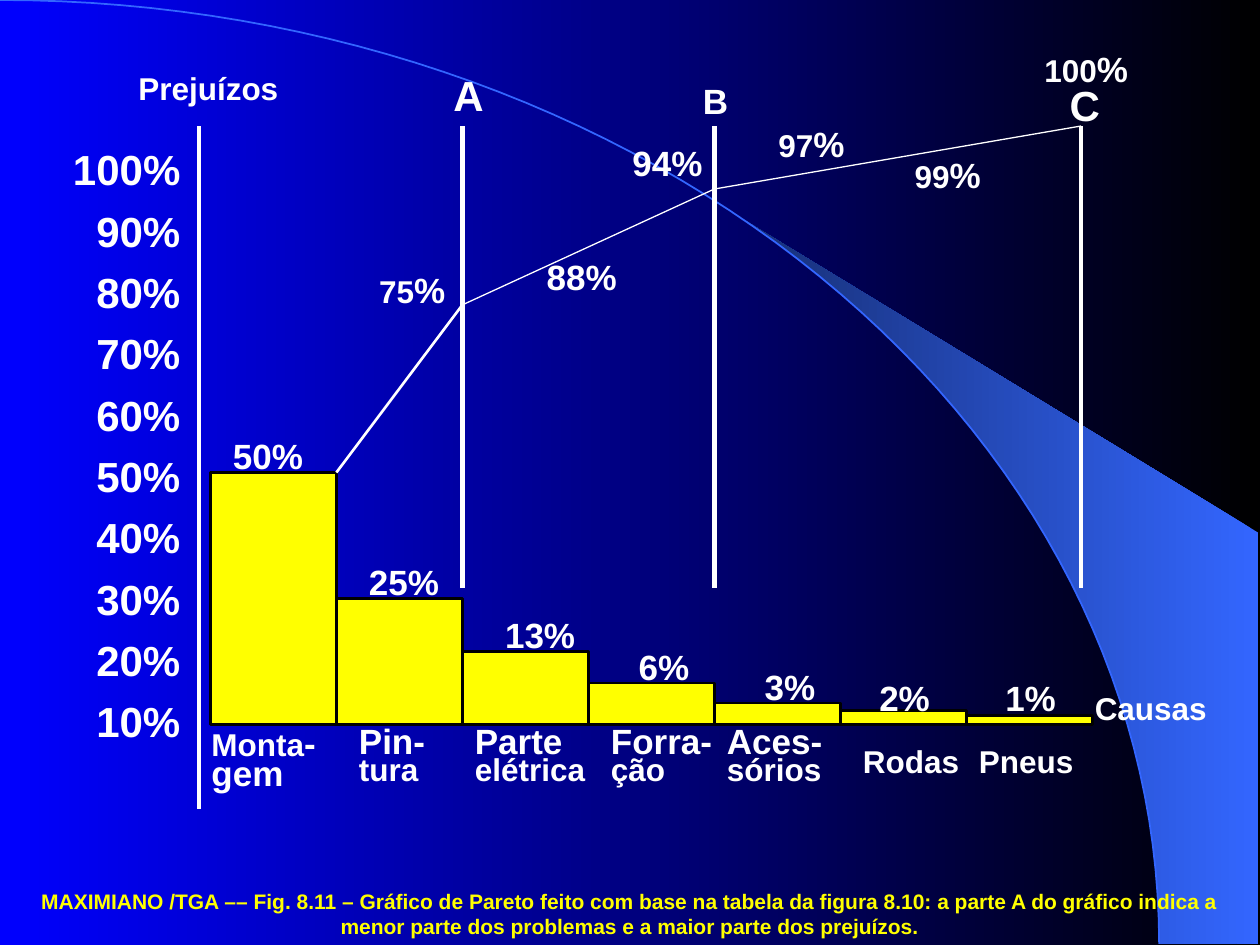
from dataclasses import dataclass
from math import asin, cos, pi, sin

from lxml import etree
from pptx import Presentation
from pptx.dml.color import RGBColor
from pptx.enum.shapes import MSO_CONNECTOR, MSO_SHAPE
from pptx.enum.text import MSO_AUTO_SIZE, PP_ALIGN
from pptx.oxml.ns import qn
from pptx.util import Inches, Pt

STRAIGHT = MSO_CONNECTOR.STRAIGHT
RECT = MSO_SHAPE.RECTANGLE
FIT = MSO_AUTO_SIZE.SHAPE_TO_FIT_TEXT
LEFT, CENTER, RIGHT = PP_ALIGN.LEFT, PP_ALIGN.CENTER, PP_ALIGN.RIGHT


@dataclass(frozen=True)
class Theme:
    font: str = "Arial"
    white: RGBColor = RGBColor(0xFF, 0xFF, 0xFF)
    black: RGBColor = RGBColor(0, 0, 0)
    blue: RGBColor = RGBColor(0, 0, 0xFF)
    yellow: RGBColor = RGBColor(0xFF, 0xFF, 0)
    arc: RGBColor = RGBColor(0x33, 0x66, 0xFF)
    arc_dark: RGBColor = RGBColor(0x17, 0x2F, 0x75)
    caption: int = 12
    small: int = 18
    medium: int = 20
    large: int = 24


T = Theme()
BASE_Y = 5.75
BAR_X = 1.67
ARC_W, ARC_H = 9.2, 7.49
SWEEP_X = 5.89

BARS = [
    (2, "50%", 1.75, 3.4),
    (1, "25%", 2.83, 4.4),
    (0.58, "13%", 3.91, 4.82),
    (0.33, "6%", 4.97, 5.07),
    (0.17, "3%", 5.97, 5.23),
    (0.11, "2%", 6.88, 5.32),
    (0.07, "1%", 7.88, 5.32),
]
TOTALS = [
    ("75", T.small, 2.91, 2.08, 0.75),
    ("88", T.medium, 4.24, 1.98, 0.78),
    ("94", T.medium, 4.92, 1.07, 0.78),
    ("97", T.small, 6.08, 0.92, 0.75),
    ("99", T.small, 7.16, 1.17, 0.75),
    ("100", T.small, 8.19, 0.33, 0.9),
]
CAUSES = [
    (1.58, 5.77, [[("Monta", T.small), ("-", T.medium)], [("gem", T.medium)]]),
    (2.75, 5.75, [[("Pin-", T.medium)], [("tura", T.small)]]),
    (3.67, 5.75, [[("Parte", T.medium)], [("elétrica", T.small)]]),
    (4.75, 5.75, [[("Forra-", T.medium)], [("ção", T.small)]]),
    (5.67, 5.75, [[("Aces-", T.medium)], [("sórios", T.small)]]),
    (6.75, 5.92, [[("Rodas", T.small)]]),
    (7.67, 5.92, [[("Pneus", T.small)]]),
]
LINES = [
    (1.58, 1, 1.58, 6.42, 2.5),
    (3.67, 1, 3.67, 4.67, 2.5),
    (5.67, 1, 5.67, 4.67, 2.5),
    (8.58, 1, 8.58, 4.67, 2.5),
    (2.67, 3.75, 3.67, 2.42, 1.5),
    (3.67, 2.42, 5.67, 1.5, 0.75),
    (5.67, 1.5, 8.58, 1, 0.75),
]


def set_gradient(fill, start, end):
    fill.gradient()
    fill.gradient_angle = 180
    for stop, color in zip(fill.gradient_stops, (start, end)):
        stop.color.rgb = color


def arc_points(start, steps=60):
    angles = [start + (pi / 2 - start) * i / steps for i in range(steps + 1)]
    return [(ARC_W * sin(a), ARC_H * (1 - cos(a))) for a in angles]


def add_outline(slide, points, close):
    (x, y), *rest = [(Inches(px), Inches(py)) for px, py in points]
    builder = slide.shapes.build_freeform(x, y)
    builder.add_line_segments(rest, close=close)
    sp = builder.convert_to_shape()
    sp.shadow.inherit = False
    return sp


def add_backdrop(slide):
    set_gradient(slide.background.fill, T.black, T.blue)
    edge = arc_points(asin(SWEEP_X / ARC_W))
    sweep = add_outline(slide, edge + [(9.99, ARC_H), (9.99, 4.23)], True)
    set_gradient(sweep.fill, T.arc, T.arc_dark)
    sweep.line.fill.background()
    arc = add_outline(slide, arc_points(0), False)
    arc.fill.background()
    arc.line.color.rgb = T.arc
    arc.line.width = Pt(1)


def add_text(slide, x, y, w, h, paragraphs, wrap=False, align=LEFT,
             spacing=None, before=0, color=T.white):
    tf = slide.shapes.add_textbox(Inches(x), Inches(y), Inches(w), Inches(h)).text_frame
    tf.word_wrap = wrap
    tf.auto_size = FIT
    for i, runs in enumerate(paragraphs):
        p = tf.add_paragraph() if i else tf.paragraphs[0]
        p.alignment = align
        if spacing:
            p.line_spacing = spacing
        if i and before:
            p.space_before = Pt(before)
        p.font.name = T.font
        p.font.bold = True
        p.font.color.rgb = color
        sizes = {size for _, size in runs}
        if len(sizes) == 1:
            p.font.size = Pt(runs[0][1])
        for text, size in runs:
            r = p.add_run()
            r.text = text
            if len(sizes) > 1:
                r.font.size = Pt(size)


def add_line(slide, x1, y1, x2, y2, width):
    line = slide.shapes.add_connector(
        STRAIGHT, Inches(x1), Inches(y1), Inches(x2), Inches(y2))
    line.line.color.rgb = T.white
    line.line.width = Pt(width)
    etree.SubElement(line._element.spPr, qn("a:effectLst"))


def add_bar(slide, x, height):
    sp = slide.shapes.add_shape(
        RECT, Inches(x), Inches(BASE_Y - height), Inches(1), Inches(height))
    sp.shadow.inherit = False
    sp.fill.solid()
    sp.fill.fore_color.rgb = T.yellow
    sp.line.color.rgb = T.black
    sp.line.width = Pt(1.5)


def main():
    prs = Presentation()
    prs.slide_width, prs.slide_height = Inches(10), Inches(7.5)
    slide = prs.slides.add_slide(prs.slide_layouts[6])
    add_backdrop(slide)

    caption = ("MAXIMIANO /TGA –– Fig. 8.11 – Gráfico de Pareto feito com base na "
               "tabela da figura 8.10: a parte A do gráfico indica a menor parte dos "
               "problemas e a maior parte dos prejuízos.")
    add_text(slide, 0, 7, 10, 0.5, [[(caption, T.caption)]], wrap=True,
             align=CENTER, color=T.yellow)

    scale = [[(f"{value}%", T.large)] for value in range(100, 0, -10)]
    add_text(slide, 0.48, 1.17, 1.05, 4.8, scale, align=RIGHT, spacing=0.8, before=12)

    for i, (height, _, _, _) in enumerate(BARS):
        add_bar(slide, BAR_X + i, height)
    for line in LINES:
        add_line(slide, *line)
    for _, label, x, y in BARS:
        add_text(slide, x, y, 0.78 if len(label) > 2 else 0.62, 0.44,
                 [[(label, T.medium)]])
    for number, size, x, y, w in TOTALS:
        add_text(slide, x, y, w, 0.44, [[(number, size), ("%", T.medium)]])
    for x, y, paragraphs in CAUSES:
        add_text(slide, x, y, 1.08, 0.31 if len(paragraphs) == 1 else 0.55,
                 paragraphs, wrap=True, spacing=0.7)

    add_text(slide, 3.5, 0.5, 0.44, 0.5, [[("A", T.large)]], wrap=True)
    add_text(slide, 5.48, 0.58, 0.4, 0.44, [[("B", T.medium)]])
    add_text(slide, 8.39, 0.58, 0.44, 0.5, [[("C", T.large)]])
    add_text(slide, 8.59, 5.42, 1.09, 0.4, [[("Causas", T.small)]])
    add_text(slide, 1, 0.58, 1.33, 0.31, [[("Prejuízos", T.small)]],
             wrap=True, spacing=0.7)

    prs.save("out.pptx")


if __name__ == "__main__":
    main()
